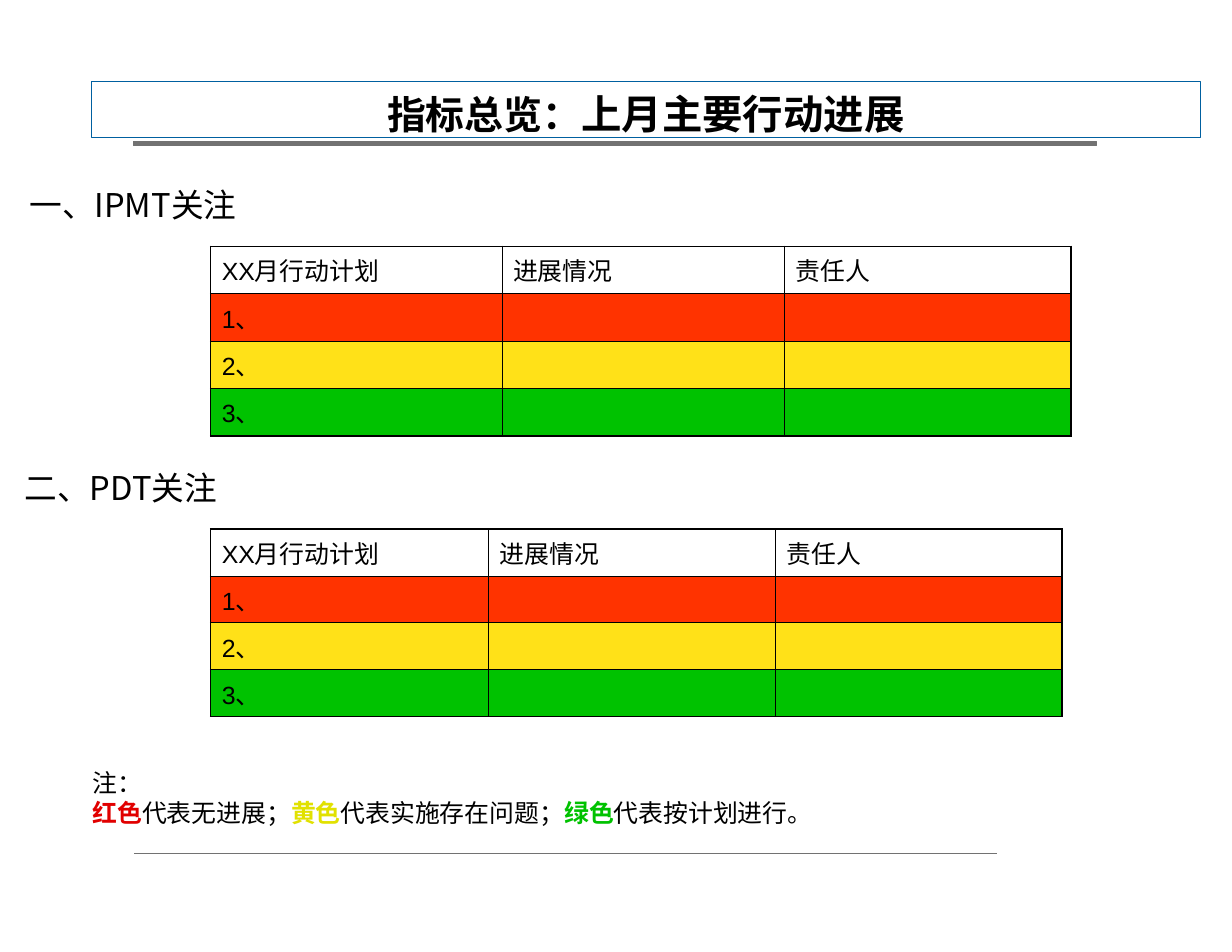
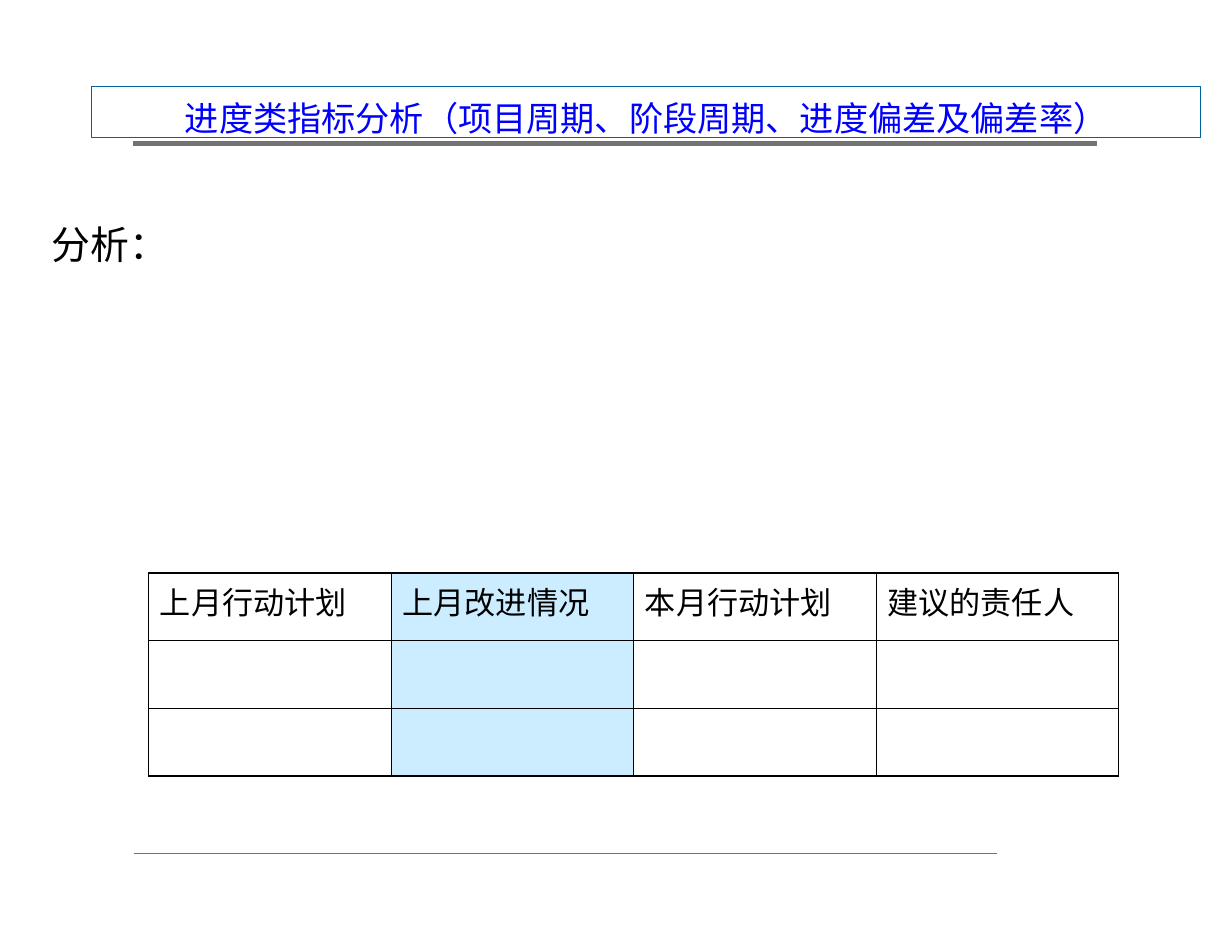
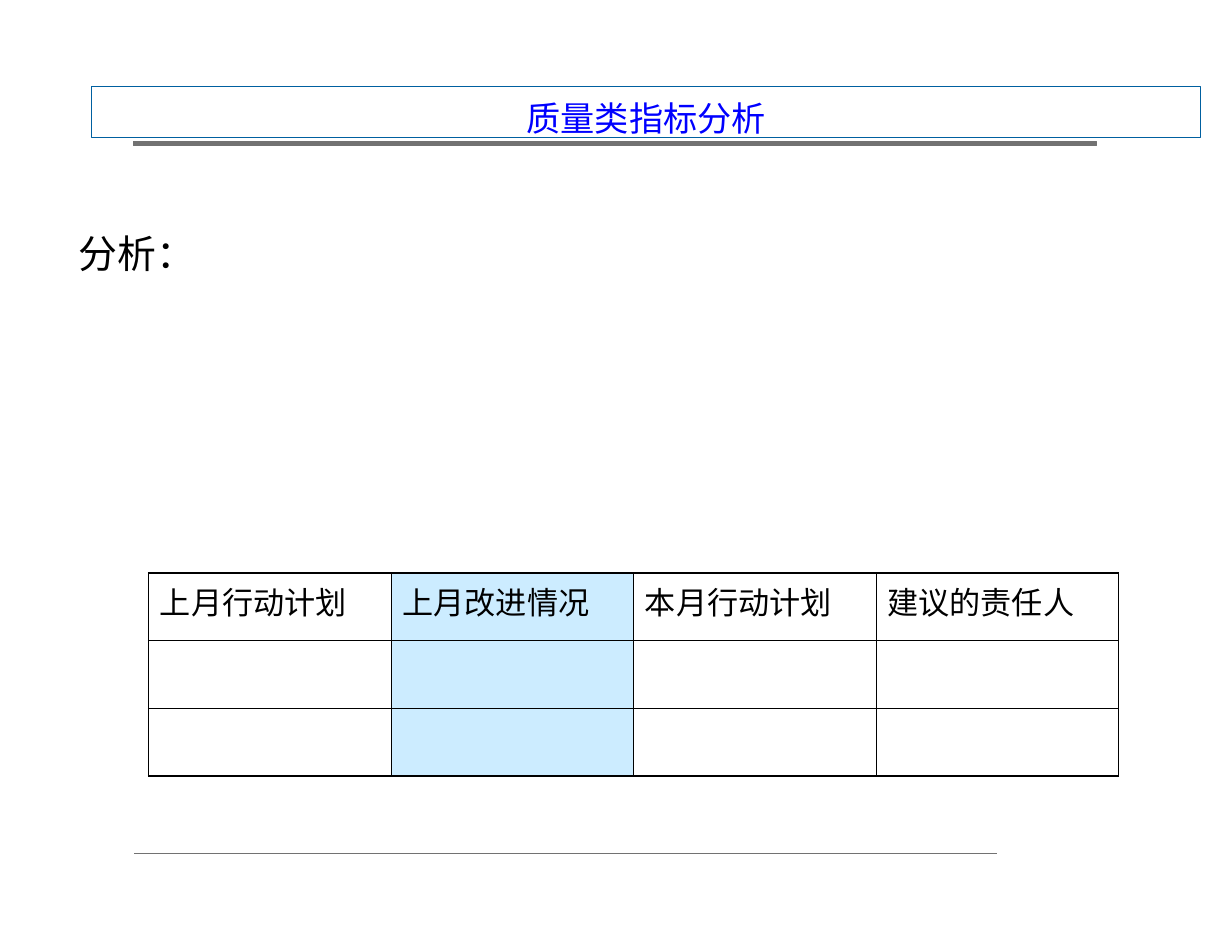
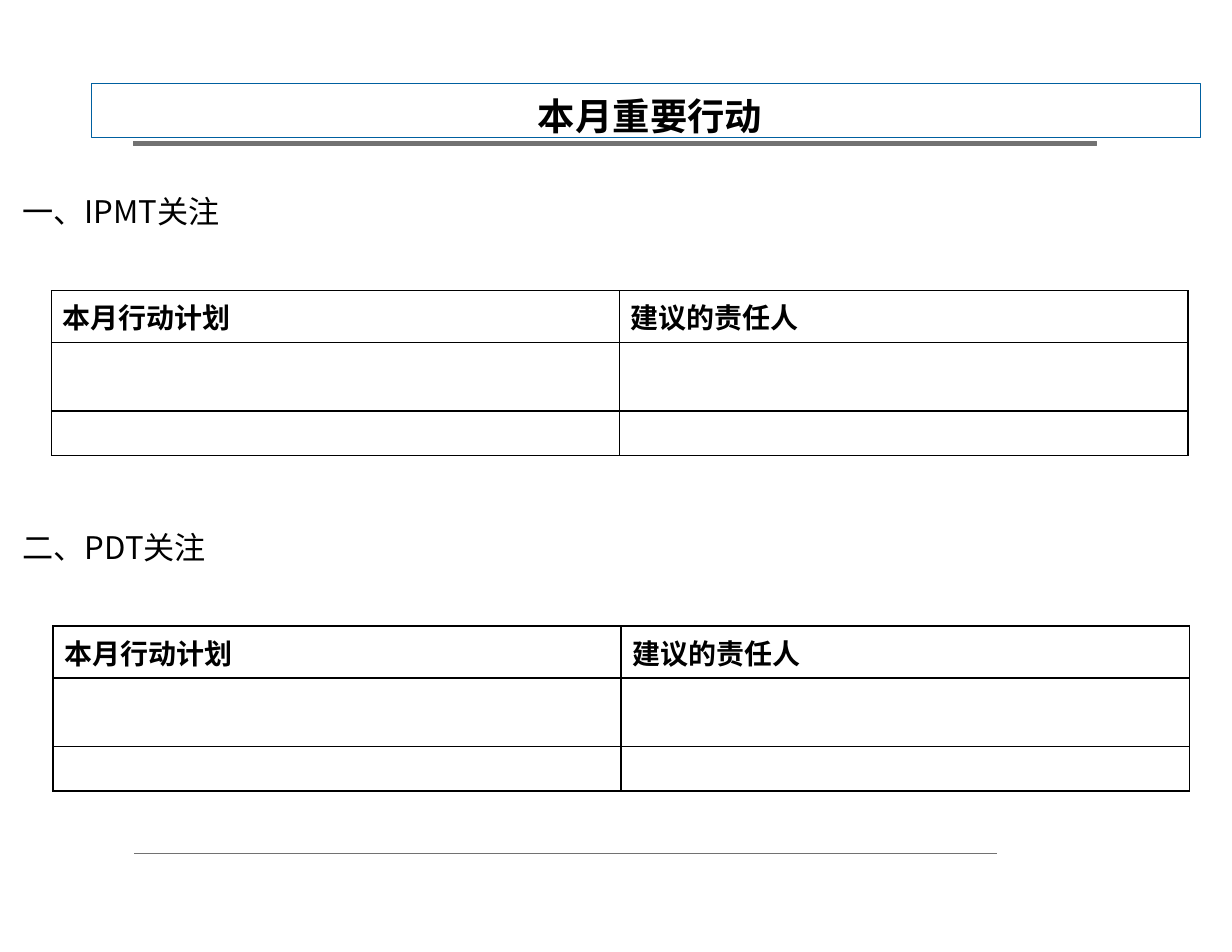
"""Build the four-slide monthly project indicator report."""
from dataclasses import dataclass

from lxml.etree import SubElement as sub
from pptx import Presentation as Deck
from pptx.dml.color import RGBColor as Rgb
from pptx.enum.shapes import MSO_CONNECTOR as Link, MSO_SHAPE as Form
from pptx.enum.text import MSO_ANCHOR as Anchor, PP_ALIGN as Align
from pptx.oxml.ns import qn
from pptx.util import Pt


@dataclass(frozen=True)
class Theme:
    sans: str = "Noto Sans CJK SC"
    latin: str = "Arial"
    black: str = "000000"
    white: str = "FFFFFF"
    blue: str = "0000FF"
    frame: str = "0060A0"
    grey: str = "727272"
    sky: str = "CCECFF"
    lights: tuple = ("FF3300", "FFE118", "00C200")
    red: str = "E10000"
    yellow: str = "E1E100"
    green: str = "00C200"
    rule: float = 0.71
    thin: float = 0.45
    thick: float = 1.08
    even: float = 0.96
    small: int = 16
    mid: int = 18
    head: int = 20
    label: int = 21
    topic: int = 22
    plan: int = 24
    large: int = 25
    top: int = 26


T = Theme()
BASE = 88.7


def add_run(para, text, size, color=T.black, bold=False, face=T.sans):
    run = para.add_run()
    run.text = text
    style = {"size": Pt(size), "bold": bold, "name": face}
    for key, value in style.items():
        setattr(run.font, key, value)
    run.font.color.rgb = Rgb.from_string(color)
    sub(run.font._element, qn("a:ea"), typeface=T.sans)


def set_frame(shape, lines, **extra):
    frame = shape.text_frame
    style = dict.fromkeys(
        ("margin_left", "margin_right", "margin_top", "margin_bottom"), 0)
    style |= {"word_wrap": True, "vertical_anchor": Anchor.TOP} | extra
    for key, value in style.items():
        setattr(frame, key, value)
    for i, runs in enumerate(lines):
        para = frame.add_paragraph() if i else frame.paragraphs[0]
        for run in runs:
            add_run(para, *run)
    return frame


def add_text(slide, box, *lines):
    set_frame(slide.shapes.add_textbox(*map(Pt, box)), lines)


def draw_line(line, color):
    line.color.rgb = Rgb.from_string(color)
    line.width = Pt(T.rule)


def add_form(slide, form, box, edge, fill=None):
    shape = slide.shapes.add_shape(form, *map(Pt, box))
    shape.shadow.inherit = False
    draw_line(shape.line, edge)
    if fill:
        shape.fill.solid()
        shape.fill.fore_color.rgb = Rgb.from_string(fill)
    else:
        shape.fill.background()
    return shape


def add_page(deck, tall, *runs):
    slide = deck.slides.add_slide(deck.slide_layouts[6])
    bar = add_form(slide, Form.ROUNDED_RECTANGLE, (85.7, 90.9, 619.2, 2.9),
                   T.grey, T.grey)
    bar.adjustments[0] = 0
    foot = slide.shapes.add_connector(
        Link.STRAIGHT, *map(Pt, (86.4, 548.6, 640.8, 548.6)))
    draw_line(foot.line, T.grey)
    sub(foot._element.spPr, qn("a:effectLst"))
    title = add_form(slide, Form.RECTANGLE, (59, BASE - tall, 712.8, tall),
                     T.frame)
    frame = set_frame(title, [runs], vertical_anchor=Anchor.BOTTOM)
    frame.paragraphs[0].alignment = Align.CENTER
    return slide


def edge_cell(cell, widths):
    props = cell._tc.get_or_add_tcPr()
    for side, width in zip("LRTB", widths):
        line = sub(props, qn(f"a:ln{side}"), w=str(Pt(width)))
        fill = sub(line, qn("a:solidFill"))
        sub(fill, qn("a:srgbClr"), val=T.black)


def add_grid(slide, spot, cols, rows, texts, size, paint, *, bold=False,
             gap=0, outer=T.thick, inner=T.thin):
    box = (*spot, sum(cols), sum(rows))
    shape = slide.shapes.add_table(len(rows), len(cols), *map(Pt, box))
    grid = shape.table
    grid.first_row = grid.horz_banding = False
    for bands, sizes, key in ((grid.columns, cols, "width"),
                              (grid.rows, rows, "height")):
        for band, value in zip(bands, sizes):
            setattr(band, key, Pt(value))
    for r in range(len(rows)):
        for c in range(len(cols)):
            cell = grid.cell(r, c)
            rims = (c == 0, c == len(cols) - 1, r == 0, r == len(rows) - 1)
            edge_cell(cell, [outer if rim else inner for rim in rims])
            color = paint(r, c)
            if color:
                cell.fill.solid()
                cell.fill.fore_color.rgb = Rgb.from_string(color)
            else:
                cell.fill.background()
            text = texts.get((r, c))
            if text:
                para = cell.text_frame.paragraphs[0]
                para.space_before = Pt(gap)
                add_run(para, text, size, bold=bold, face=T.latin)


def name_heads(*names):
    return {(0, c): name for c, name in enumerate(names)}


def add_status(slide, top, cols, tall):
    texts = name_heads("XX月行动计划", "进展情况", "责任人")
    texts |= {(r, 0): f"{r}、" for r in (1, 2, 3)}
    add_grid(slide, (135.4, top), cols, [tall] * 4, texts, T.small,
             lambda r, c: T.lights[r - 1] if r else None, gap=4)


def add_review(deck, title, spot):
    slide = add_page(deck, 33.2, (title, T.topic, T.blue))
    add_text(slide, (*spot, 318.2, 61.2), [("分析：", T.large)])
    heads = name_heads("上月行动计划", "上月改进情况",
                       "本月行动计划", "建议的责任人")
    add_grid(slide, (95.6, 368.4), [155.9] * 4, [43.5] * 3, heads, T.head,
             lambda r, c: T.sky if c == 1 else None, gap=5)


def add_tasks(slide, spot):
    heads = name_heads("本月行动计划", "建议的责任人")
    add_grid(slide, spot, [365.3] * 2, [33.3, 44, 27.6], heads, T.mid,
             lambda r, c: T.white, bold=True, outer=T.even, inner=T.even)


def add_progress(deck):
    slide = add_page(deck, 36.2, ("指标总览：", T.large, T.black, True),
                     ("上月主要行动进展", T.top, T.black, True))
    keys = (("红色", T.red, "代表无进展；"),
            ("黄色", T.yellow, "代表实施存在问题；"),
            ("绿色", T.green, "代表按计划进行。"))
    note = []
    for name, color, text in keys:
        note += [(name, T.small, color, True), (text, T.small)]
    add_text(slide, (59.5, 493.7, 704.9, 45.4), [("注：", T.small)], note)
    add_text(slide, (18.9, 118.8, 185, 31), [("一、IPMT关注", T.label)])
    add_text(slide, (15.8, 301, 197.3, 31), [("二、PDT关注", T.label)])
    add_status(slide, 158.4, (187.2, 181.6, 184.2), 30.5)
    add_status(slide, 340, (178.8, 184.3, 184.3), 30.2)


def add_actions(deck):
    slide = add_page(deck, 34.8, (" ", T.topic, T.blue, True),
                     ("本月重要行动", T.plan, T.black, True))
    for text, top in (("一、IPMT关注", 123.8), ("二、PDT关注", 339.8)):
        add_text(slide, (14.4, top, 239.8, 36), [(text, T.head)])
    for spot in ((33.1, 186.9), (34, 402.5)):
        add_tasks(slide, spot)


def main():
    deck = Deck()
    deck.slide_width, deck.slide_height = Pt(792), Pt(612)
    add_progress(deck)
    add_review(deck, "进度类指标分析（项目周期、阶段周期、进度偏差及偏差率）",
               (33.1, 141.8))
    add_review(deck, "质量类指标分析", (50.4, 147.6))
    add_actions(deck)
    deck.save("out.pptx")


if __name__ == "__main__":
    main()
